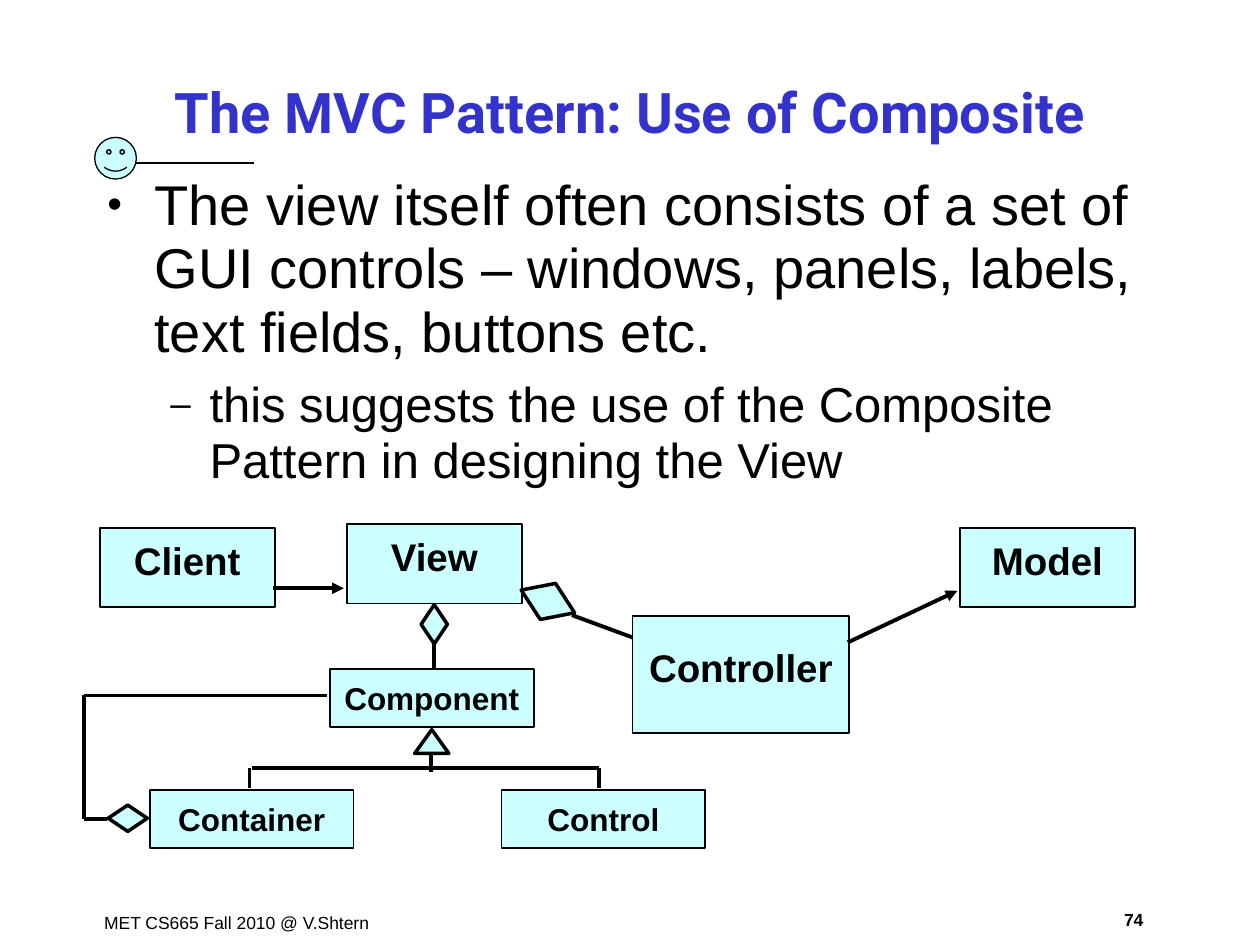
from lxml.etree import SubElement
from pptx import Presentation
from pptx.dml.color import RGBColor
from pptx.enum.shapes import MSO_CONNECTOR, MSO_SHAPE
from pptx.enum.text import MSO_ANCHOR, MSO_AUTO_SIZE, PP_ALIGN
from pptx.oxml.ns import qn
from pptx.util import Cm, Pt

BLACK = RGBColor(0x00, 0x00, 0x00)
BLUE = RGBColor(0x33, 0x33, 0xCC)
PALE_CYAN = RGBColor(0xCC, 0xFF, 0xFF)


def write(p, text, size, color=BLACK, font="Arial", bold=False, **spacing):
    """Put one formatted run in a paragraph and set paragraph attributes."""
    r = p.add_run()
    r.text = text
    r.font.color.rgb = color
    for name, value in {"size": Pt(size), "name": font, "bold": bold}.items():
        setattr(r.font, name, value)
    for name, value in spacing.items():
        setattr(p, name, value)


def add_symbol(kind, left, top, width, height, line=2, rotation=0):
    """Add a pale shape with a black outline and return it."""
    sp = s.shapes.add_shape(kind, Cm(left), Cm(top), Cm(width), Cm(height))
    sp.shadow.inherit = False
    sp.rotation = rotation
    sp.fill.solid()
    sp.fill.fore_color.rgb = PALE_CYAN
    sp.line.color.rgb = BLACK
    sp.line.width = Pt(line)
    return sp


prs = Presentation()
prs.slide_width, prs.slide_height = Cm(25.4), Cm(19.05)
s = prs.slides.add_slide(prs.slide_layouts[1])

# Title and list
title, body = s.shapes.title, s.placeholders[1]
for sp, top, height in [(title, 1.22, 2.03), (body, 3.38, 14.63)]:
    sp.left, sp.top, sp.width, sp.height = Cm(1.91), Cm(top), Cm(21.59), Cm(height)
    sp.text_frame.auto_size = MSO_AUTO_SIZE.NONE
title.text_frame.vertical_anchor = MSO_ANCHOR.MIDDLE
write(title.text_frame.paragraphs[0], "The MVC Pattern: Use of Composite", 32,
      BLUE, "Roboto", True, alignment=PP_ALIGN.CENTER)

points = [
    ("The view itself often consists of a set of GUI controls \u2013 windows, "
     "panels, labels, text fields, buttons etc.", 32, 8, 0.95, 0.95, "\u2022"),
    ("this suggests the use of the Composite Pattern in designing the View",
     28, 7, 2.06, 0.79, "\u2013"),
]
tf = body.text_frame
for level, (text, size, before, margin, hanging, bullet) in enumerate(points):
    p = tf.add_paragraph() if level else tf.paragraphs[0]
    write(p, text, size, level=level, line_spacing=0.95, space_before=Pt(before))
    pPr = p._p.get_or_add_pPr()
    pPr.set("marL", str(Cm(margin)))
    pPr.set("indent", str(-Cm(hanging)))
    SubElement(pPr, qn("a:buSzPct"), val="75000")
    SubElement(pPr, qn("a:buChar"), char=bullet)

# Footer and slide number
footers = [
    ("MET CS665 Fall 2010 @ V.Shtern", 1.85, 18.26, 6.12, False, PP_ALIGN.LEFT),
    ("74", 22.17, 18.19, 1.37, True, PP_ALIGN.CENTER),
]
for text, left, top, width, bold, align in footers:
    tf = s.shapes.add_textbox(Cm(left), Cm(top), Cm(width), Cm(0.69)).text_frame
    tf.word_wrap = True
    write(tf.paragraphs[0], text, 10, bold=bold, alignment=align,
          space_before=Pt(6.2))

# Class boxes
LARGE, SMALL = (3.53, 1.6), (4.11, 1.17)
boxes = [
    ("View", 6.99, 10.57, LARGE, 22, 0.25),
    ("Controller", 12.75, 12.42, (4.37, 2.36), 22, 0.64),
    ("Model", 19.35, 10.64, LARGE, 22, 0.25),
    ("Client", 2.01, 10.64, LARGE, 22, 0.25),
    ("Component", 6.65, 13.49, SMALL, 18, 0.25),
    ("Container", 3.02, 15.93, SMALL, 18, 0.25),
    ("Control", 10.11, 15.93, SMALL, 18, 0.25),
]
for text, left, top, (width, height), size, inset in boxes:
    tf = add_symbol(MSO_SHAPE.RECTANGLE, left, top, width, height, 1).text_frame
    tf.word_wrap = True
    tf.vertical_anchor = MSO_ANCHOR.TOP
    tf.margin_top = Cm(inset)
    write(tf.paragraphs[0], text, size, bold=True, alignment=PP_ALIGN.CENTER,
          line_spacing=0.95, space_before=Pt(size / 4))

# Relationship lines: points, width, arrowhead at the end
routes = [
    ([(2.74, 3.28), (5.13, 3.28)], 1, False),
    ([(5.51, 11.86), (6.93, 11.86)], 2.25, True),
    ([(11.53, 12.4), (12.75, 12.85)], 2.25, False),
    ([(17.09, 12.95), (19.3, 11.91)], 2.25, True),
    ([(8.74, 12.9), (8.74, 13.49)], 2.25, False),
    ([(5.03, 15.49), (5.03, 15.88)], 2.25, False),
    ([(12.07, 15.49), (12.07, 15.88)], 2.25, False),
    ([(8.69, 15.19), (8.69, 15.57)], 2.25, False),
    ([(5.08, 15.49), (12.07, 15.49)], 2.25, False),
    ([(2.16, 16.51), (1.7, 16.51), (1.7, 14.02), (6.6, 14.02)], 2.25, False),
]
for route, width, arrow in routes:
    for (x1, y1), (x2, y2) in zip(route, route[1:]):
        line = s.shapes.add_connector(MSO_CONNECTOR.STRAIGHT,
                                      Cm(x1), Cm(y1), Cm(x2), Cm(y2))
        line.line.color.rgb = BLACK
        line.line.width = Pt(width)
        if arrow:
            SubElement(line.line._get_or_add_ln(), qn("a:tailEnd"), type="triangle")
        SubElement(line._element.spPr, qn("a:effectLst"))

# Aggregation diamonds, inheritance triangle and the smiley
DIAMOND = MSO_SHAPE.FLOWCHART_DECISION
add_symbol(DIAMOND, 10.46, 11.73, 1.17, 0.79, rotation=23)
add_symbol(DIAMOND, 8.36, 12.32, 0.79, 0.53, rotation=270)
add_symbol(DIAMOND, 2.18, 16.23, 0.79, 0.53, rotation=180)
add_symbol(MSO_SHAPE.ISOSCELES_TRIANGLE, 8.36, 14.71, 0.69, 0.48)
add_symbol(MSO_SHAPE.SMILEY_FACE, 1.91, 2.77, 0.84, 0.84, line=0.75)

prs.save("out.pptx")
